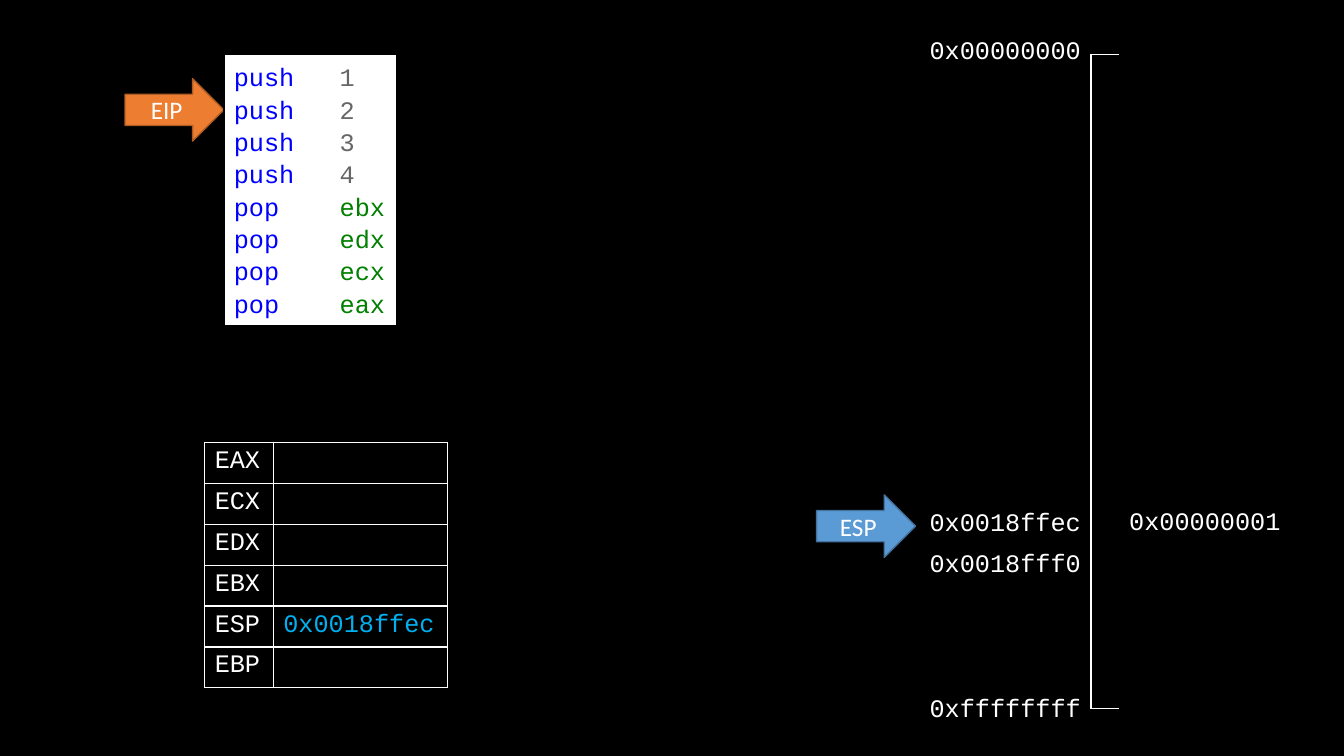
"""Build a slide that shows the stack and registers after a push."""
import lxml.etree
import pptx
import pptx.dml.color
import pptx.enum.shapes
import pptx.enum.text
import pptx.oxml.ns
import pptx.util

Inches = pptx.util.Inches
Pt = pptx.util.Pt
qn = pptx.oxml.ns.qn
rgb = pptx.dml.color.RGBColor.from_string
ALIGN = pptx.enum.text.PP_ALIGN
ANCHOR = pptx.enum.text.MSO_ANCHOR
SHAPE = pptx.enum.shapes.MSO_SHAPE

COLORS = {
    "black": "000000", "white": "FFFFFF", "value": "00B0F0",
    "keyword": "0000FF", "number": "666666", "register": "008000",
    "esp": "5B9BD5", "esp_line": "43739E",
    "eip": "ED7D31", "eip_line": "AF5C24",
}
PLAIN_STYLE = "{2D5ABB26-0587-4C30-8999-92F81FD0307C}"
ROW = 6.49 / 16


def write(para, text, color="white", font="Courier New", align=ALIGN.LEFT):
    para.alignment = align
    span = para.add_run()
    span.text = text
    span.font.size = Pt(18)
    span.font.name = font
    span.font.color.rgb = rgb(COLORS[color])


def add_grid(page, left, top, widths, heights, texts, borders, **style):
    frame = page.shapes.add_table(
        len(heights), len(widths), Inches(left), Inches(top),
        Inches(sum(widths)), Inches(sum(heights)))
    grid = frame.table
    grid.first_row = grid.horz_banding = False
    grid._tbl.tblPr.find(qn("a:tableStyleId")).text = PLAIN_STYLE
    for column, width in zip(grid.columns, widths):
        column.width = Inches(width)
    for r, height in enumerate(heights):
        grid.rows[r].height = Inches(height)
        for c in range(len(widths)):
            cell = grid.cell(r, c)
            para = cell.text_frame.paragraphs[0]
            if (r, c) in texts:
                write(para, texts[r, c], **style)
            else:
                size = "1800" if height >= ROW else "800"
                lxml.etree.SubElement(para._p, qn("a:endParaRPr"), sz=size)
            if height < ROW:
                cell.margin_top = cell.margin_bottom = 0
            if style.get("align") == ALIGN.RIGHT:
                cell.vertical_anchor = ANCHOR.MIDDLE
            properties = cell._tc.get_or_add_tcPr()
            for side in borders(r, c):
                line = lxml.etree.SubElement(properties, qn("a:ln" + side), w="12700")
                fill = lxml.etree.SubElement(line, qn("a:solidFill"))
                lxml.etree.SubElement(fill, qn("a:srgbClr"), val=COLORS["white"])
            cell.fill.background()
    return grid


deck = pptx.Presentation()
deck.slide_width = Inches(13.33)
deck.slide_height = Inches(7.5)
page = deck.slides.add_slide(deck.slide_layouts[6])
page.background.fill.solid()
page.background.fill.fore_color.rgb = rgb(COLORS["black"])

add_grid(page, 10.82, 0.54, [0.28, 1.84], [ROW] * 16, {(11, 1): "0x00000001"},
         lambda r, c: "" if c else "L" + "T" * (r == 0) + "B" * (r == 15))

address_rows = [ROW, 0.32, 0.31] + [ROW] * 13 + [0.22, ROW]
addresses = {(0, 0): "0x00000000", (12, 0): "0x0018ffec",
             (13, 0): "0x0018fff0", (17, 0): "0xffffffff"}
add_grid(page, 9.08, 0.32, [1.74], address_rows, addresses,
         lambda r, c: "", align=ALIGN.RIGHT)

names = ["EAX", "ECX", "EDX", "EBX", "ESP", "EBP"]
registers = add_grid(page, 2.03, 4.39, [0.68, 1.73], [ROW] * len(names),
                     {(r, 0): name for r, name in enumerate(names)},
                     lambda r, c: "LRTB")
write(registers.cell(names.index("ESP"), 1).text_frame.paragraphs[0],
      "0x0018ffec", color="value")

for name, left, top in [("ESP", 8.1, 4.91), ("EIP", 1.24, 0.78)]:
    arrow = page.shapes.add_shape(SHAPE.RIGHT_ARROW, Inches(left), Inches(top),
                                  Inches(0.98), Inches(0.62))
    arrow.shadow.inherit = False
    arrow.fill.solid()
    arrow.fill.fore_color.rgb = rgb(COLORS[name.lower()])
    arrow.line.color.rgb = rgb(COLORS[name.lower() + "_line"])
    arrow.line.width = Pt(1)
    arrow.text_frame.vertical_anchor = ANCHOR.MIDDLE
    write(arrow.text_frame.paragraphs[0], name, font="Calibri", align=ALIGN.CENTER)

code = page.shapes.add_shape(SHAPE.RECTANGLE, Inches(2.22), Inches(0.54),
                             Inches(1.71), Inches(2.69))
code.shadow.inherit = False
code.fill.solid()
code.fill.fore_color.rgb = rgb(COLORS["white"])
code.line.color.rgb = rgb(COLORS["black"])
code.line.width = Pt(1)
box = code.text_frame
box.word_wrap = True
box.margin_right = 0
box.vertical_anchor = ANCHOR.TOP
operands = ["1", "2", "3", "4", "ebx", "edx", "ecx", "eax"]
for i, operand in enumerate(operands):
    para = box.paragraphs[0] if i == 0 else box.add_paragraph()
    para.line_spacing = 1.07
    write(para, "push\t" if operand.isdigit() else "pop\t", color="keyword")
    write(para, operand, color="number" if operand.isdigit() else "register")
    stops = lxml.etree.SubElement(para._p.get_or_add_pPr(), qn("a:tabLst"))
    lxml.etree.SubElement(stops, qn("a:tab"), pos=str(Inches(1.05)), algn="l")

deck.save("out.pptx")
